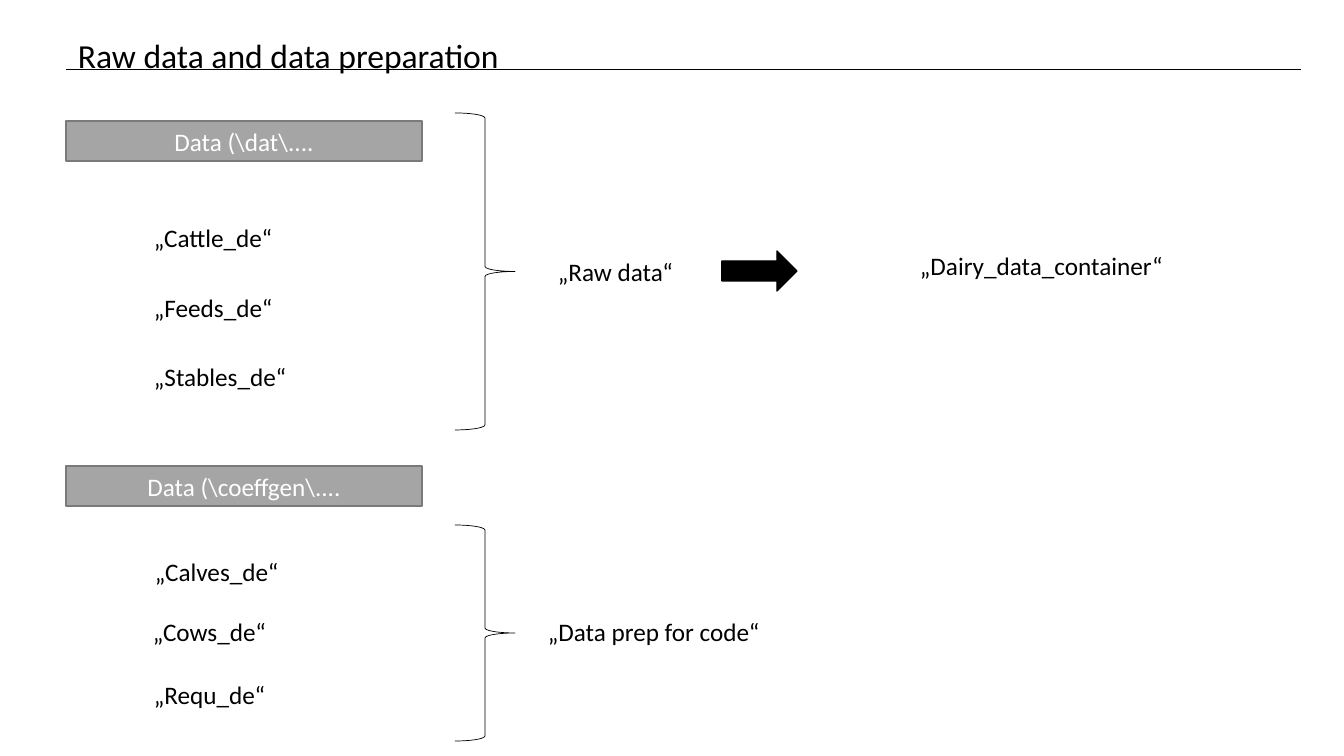
from dataclasses import dataclass

from pptx import Presentation
from pptx.dml.color import RGBColor
from pptx.enum.shapes import MSO_CONNECTOR, MSO_SHAPE
from pptx.enum.text import MSO_ANCHOR, MSO_AUTO_SIZE, PP_ALIGN
from pptx.oxml.ns import qn
from pptx.util import Emu, Pt

SCALE = 914400 / 100.8
FONT = "Calibri"
LABEL_HEIGHT = 40
COLORS = {
    "ink": "000000",
    "header_fill": "A5A5A5",
    "header_line": "7A7A7A",
    "header_text": "FFFFFF",
}


@dataclass
class Label:
    text: str
    left: int
    top: int
    width: int
    height: int = LABEL_HEIGHT
    size: int = 18


@dataclass
class Brace:
    top: int
    height: int


HEADERS = [
    Label(r"Data (\dat\....", 66, 121, 356),
    Label(r"Data (\coeffgen\....", 66, 466, 356),
]
LABELS = [
    Label("„Cattle_de“", 144, 217, 140),
    Label("„Feeds_de“", 144, 287, 140),
    Label("„Stables_de“", 144, 356, 154),
    Label("„Calves_de“", 145, 551, 145),
    Label("„Cows_de“", 143, 611, 135),
    Label("„Requ_de“", 144, 674, 133),
    Label("„Raw data“", 548, 251, 137),
    Label("„Data prep for code“", 538, 611, 235),
    Label("„Dairy_data_container“", 910, 245, 266),
    Label("Raw data and data preparation", 68, 30, 446, 50, 24),
]
BRACES = [Brace(113, 317), Brace(525, 216)]


def px(length: int) -> Emu:
    return Emu(round(length * SCALE))


def color(name: str) -> RGBColor:
    return RGBColor.from_string(COLORS[name])


def write(frame, label: Label, ink: str) -> None:
    para = frame.paragraphs[0]
    para.text = label.text
    para.font.name = FONT
    para.font.size = Pt(label.size)
    para.font.color.rgb = color(ink)


def add_label(page, label: Label) -> None:
    box = page.shapes.add_textbox(
        px(label.left), px(label.top), px(label.width), px(label.height))
    frame = box.text_frame
    frame.word_wrap = False
    frame.auto_size = MSO_AUTO_SIZE.SHAPE_TO_FIT_TEXT
    write(frame, label, "ink")


def add_outlined(page, kind, left: int, top: int, width: int, height: int,
                 line: str, weight: float, fill: str = ""):
    shape = page.shapes.add_shape(kind, px(left), px(top), px(width), px(height))
    shape.shadow.inherit = False
    if fill:
        shape.fill.solid()
        shape.fill.fore_color.rgb = color(fill)
    else:
        shape.fill.background()
    shape.line.color.rgb = color(line)
    shape.line.width = Pt(weight)
    return shape


def add_header(page, label: Label) -> None:
    shape = add_outlined(page, MSO_SHAPE.RECTANGLE, label.left, label.top,
                         label.width, label.height, "header_line", 1, "header_fill")
    frame = shape.text_frame
    frame.vertical_anchor = MSO_ANCHOR.MIDDLE
    write(frame, label, "header_text")
    frame.paragraphs[0].alignment = PP_ALIGN.CENTER


def add_title_rule(page) -> None:
    rule = page.shapes.add_connector(
        MSO_CONNECTOR.STRAIGHT, px(66), px(69), px(1301), px(69))
    rule.line.color.rgb = color("ink")
    rule.line.width = Pt(0.5)
    properties = rule._element.spPr
    properties.append(properties.makeelement(qn("a:effectLst"), {}))


def main() -> None:
    deck = Presentation()
    deck.slide_width, deck.slide_height = px(1344), px(756)
    page = deck.slides.add_slide(deck.slide_layouts[6])
    add_title_rule(page)
    for header in HEADERS:
        add_header(page, header)
    for brace in BRACES:
        add_outlined(page, MSO_SHAPE.RIGHT_BRACE, 455, brace.top, 60,
                     brace.height, "ink", 0.5)
    add_outlined(page, MSO_SHAPE.RIGHT_ARROW, 722, 251, 75, 40, "ink", 1, "ink")
    for label in LABELS:
        add_label(page, label)
    deck.save("out.pptx")


if __name__ == "__main__":
    main()
